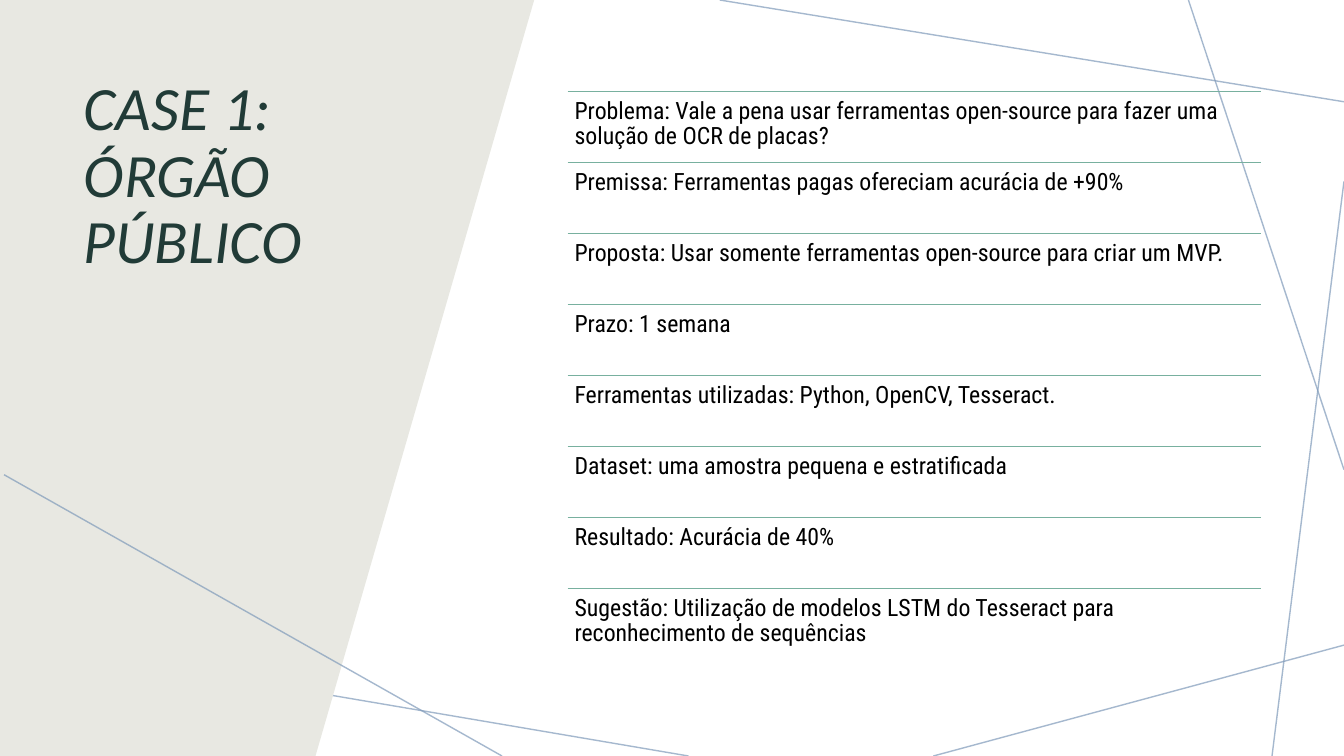
import pptx
import pptx.dml.color
import pptx.enum.shapes
import pptx.enum.text
import pptx.oxml
import pptx.oxml.ns
import pptx.util

Pt = pptx.util.Pt

SLIDE_WIDTH, SLIDE_HEIGHT = 960, 540
ROWS_LEFT, ROWS_TOP, ROW_WIDTH, ROW_HEIGHT = 405.4, 65.5, 495.4, 50.7

BACK_RAYS = [
    (491.8, 540, 0, 456.4),
    (960, 460.8, 666.7, 540),
    (960, 129.6, 908.6, 540),
    (960, 335.5, 848.9, 0),
    (960, 72.7, 514.1, 0),
]
FRONT_RAY = (2.9, 339.1, 358.6, 540)
PANEL = [(0, 0), (381.6, 0), (225.4, 540), (0, 540)]

CASE_FACTS = [
    "Problema: Vale a pena usar ferramentas open-source para fazer uma solução de OCR de placas?",
    "Premissa: Ferramentas pagas ofereciam acurácia de +90%",
    "Proposta: Usar somente ferramentas open-source para criar um MVP.",
    "Prazo: 1 semana",
    "Ferramentas utilizadas: Python, OpenCV, Tesseract.",
    "Dataset: uma amostra pequena e estratificada",
    "Resultado: Acurácia de 40%",
    "Sugestão: Utilização de modelos LSTM do Tesseract para reconhecimento de sequências",
]


def colour(value):
    return pptx.dml.color.RGBColor.from_string(value)


def assign(target, values):
    for name, value in values.items():
        setattr(target, name, value)


class CaseSlide:
    """Hold the style and the current slide, and draw each kind of element."""

    RAY, RULE, PANEL_FILL = "7F9ABA", "78B09F", "E8E8E2"
    TITLE_FONT = {"name": "Calibri", "size": Pt(44), "italic": True, "bold": False}
    FACT_FONT = {"name": "Roboto Condensed", "size": Pt(17)}
    TITLE_COLOUR, FACT_COLOUR = "213B37", "000000"
    FRAME = {
        "word_wrap": True,
        "auto_size": pptx.enum.text.MSO_AUTO_SIZE.NONE,
        "vertical_anchor": pptx.enum.text.MSO_ANCHOR.TOP,
    }
    PARAGRAPH = {"line_spacing": 0.9, "alignment": pptx.enum.text.PP_ALIGN.LEFT}

    def __init__(self, slide):
        self.shapes = slide.shapes

    def line(self, ends, line_colour, opacity=100):
        connector = self.shapes.add_connector(
            pptx.enum.shapes.MSO_CONNECTOR.STRAIGHT, *map(Pt, ends))
        connector.line.width = Pt(1)
        connector.line.color.rgb = colour(line_colour)
        properties = connector.element.spPr
        if opacity < 100:
            tint = properties.find(".//" + pptx.oxml.ns.qn("a:srgbClr"))
            alpha = pptx.oxml.parse_xml(
                f'<a:alpha {pptx.oxml.ns.nsdecls("a")} val="{opacity * 1000}"/>')
            tint.append(alpha)
        properties.append(pptx.oxml.parse_xml(
            f'<a:effectLst {pptx.oxml.ns.nsdecls("a")}/>'))

    def ray(self, ends):
        self.line(ends, self.RAY, opacity=70)

    def panel(self, corners):
        start, *others = [(Pt(x), Pt(y)) for x, y in corners]
        builder = self.shapes.build_freeform(*start)
        builder.add_line_segments(others, close=True)
        panel = builder.convert_to_shape()
        panel.shadow.inherit = False
        panel.fill.solid()
        panel.fill.fore_color.rgb = colour(self.PANEL_FILL)
        panel.line.fill.background()

    def fill_text(self, frame, text, font, font_colour, margins):
        frame.text = text
        assign(frame, self.FRAME | margins)
        paragraph = frame.paragraphs[0]
        assign(paragraph, self.PARAGRAPH)
        run = paragraph.runs[0]
        assign(run.font, font)
        run.font.color.rgb = colour(font_colour)

    def title(self, text, left, top, width, height):
        title = self.shapes.title
        assign(title, {"left": Pt(left), "top": Pt(top),
                       "width": Pt(width), "height": Pt(height)})
        self.fill_text(title.text_frame, text, self.TITLE_FONT, self.TITLE_COLOUR, {})
        self.shapes.element.append(title.element)

    def fact(self, text, left, top, width, height):
        self.line((left, top, left + width, top), self.RULE)
        fact = self.shapes.add_textbox(*map(Pt, (left, top, width, height)))
        sides = ("left", "top", "right", "bottom")
        margins = {f"margin_{side}": Pt(5) for side in sides}
        self.fill_text(fact.text_frame, text, self.FACT_FONT, self.FACT_COLOUR, margins)


presentation = pptx.Presentation()
assign(presentation, {"slide_width": Pt(SLIDE_WIDTH), "slide_height": Pt(SLIDE_HEIGHT)})
title_only = presentation.slide_layouts.get_by_name("Title Only")
case = CaseSlide(presentation.slides.add_slide(title_only))

for ray in BACK_RAYS:
    case.ray(ray)
case.panel(PANEL)
case.title("CASE 1: ÓRGÃO PÚBLICO", 52.6, 51.8, 254.2, 280.8)
case.ray(FRONT_RAY)
for row, case_fact in enumerate(CASE_FACTS):
    case.fact(case_fact, ROWS_LEFT, ROWS_TOP + row * ROW_HEIGHT, ROW_WIDTH, ROW_HEIGHT)

presentation.save("out.pptx")
